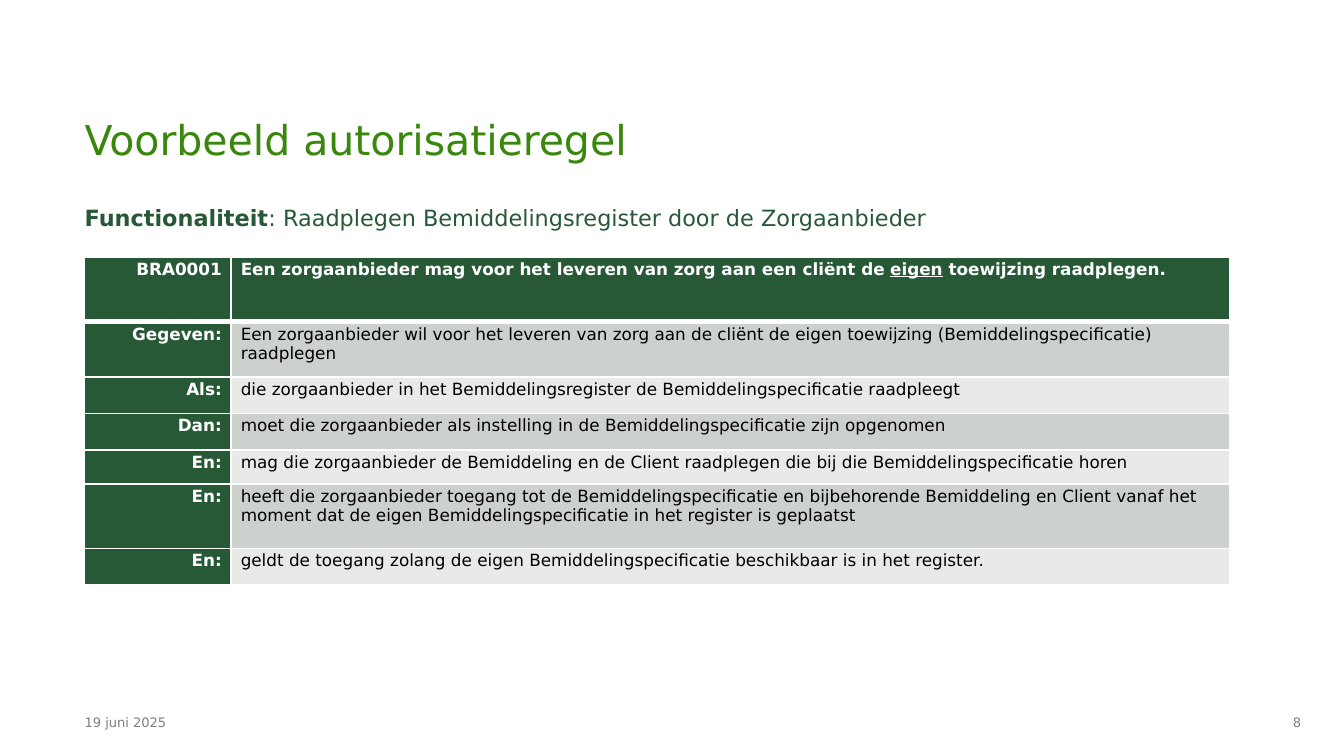
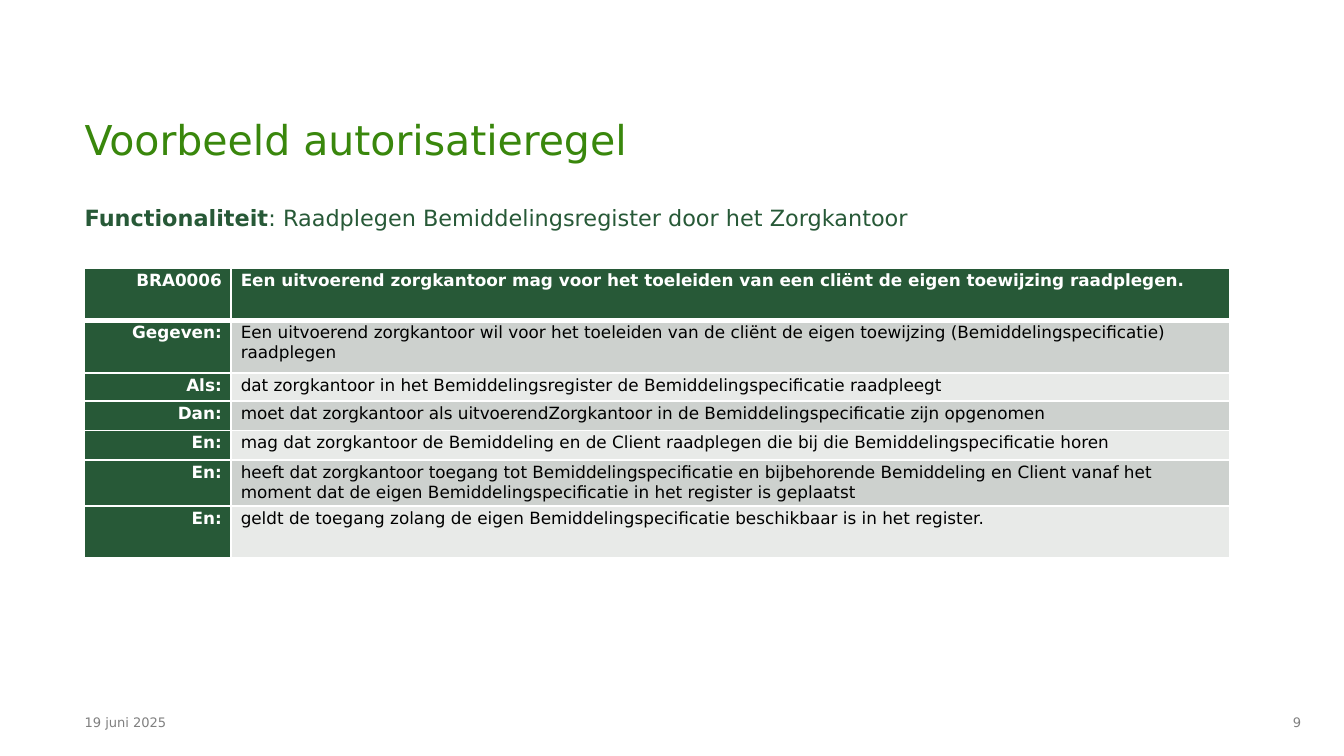
"""Builds two slides that each show an example authorisation rule in a table."""
from lxml.etree import SubElement
from pptx import Presentation
from pptx.dml.color import RGBColor
from pptx.enum.text import MSO_ANCHOR, PP_ALIGN
from pptx.oxml.ns import qn
from pptx.util import Cm, Pt

FONT = "DejaVu Sans"
TITLE_GREEN = RGBColor(0x39, 0x87, 0x0C)
DARK_GREEN = RGBColor(0x27, 0x59, 0x37)
GRAY = RGBColor(0x80, 0x80, 0x80)
BAND_DARK = RGBColor(0xCD, 0xD1, 0xCE)
BAND_LIGHT = RGBColor(0xE8, 0xEA, 0xE8)
WHITE = RGBColor(0xFF, 0xFF, 0xFF)
BLACK = RGBColor(0, 0, 0)

LEFT = 1.6
COL_WIDTHS = (2.77, 18.87)
LABELS = ("Gegeven:", "Als:", "Dan:", "En:", "En:", "En:")

RULES = [
    {
        "number": 8,
        "who": "de Zorgaanbieder",
        "code": "BRA0001",
        "top": 4.86,
        "heights": (1.22, 1.04, 0.69, 0.69, 0.64, 1.22, 0.69),
        "texts": (
            "Een zorgaanbieder mag voor het leveren van zorg aan een cliënt de _eigen_ toewijzing raadplegen.",
            "Een zorgaanbieder wil voor het leveren van zorg aan de cliënt de eigen toewijzing "
            "(Bemiddelingspecificatie) raadplegen",
            "die zorgaanbieder in het Bemiddelingsregister de Bemiddelingspecificatie raadpleegt",
            "moet die zorgaanbieder als instelling in de Bemiddelingspecificatie zijn opgenomen",
            "mag die zorgaanbieder de Bemiddeling en de Client raadplegen die bij die "
            "Bemiddelingspecificatie horen",
            "heeft die zorgaanbieder toegang tot de Bemiddelingspecificatie en bijbehorende Bemiddeling "
            "en Client vanaf het moment dat de eigen Bemiddelingspecificatie in het register is geplaatst",
            "geldt de toegang zolang de eigen Bemiddelingspecificatie beschikbaar is in het register.",
        ),
    },
    {
        "number": 9,
        "who": "het Zorgkantoor",
        "code": "BRA0006",
        "top": 5.06,
        "heights": (0.99, 0.99, 0.53, 0.56, 0.56, 0.56, 0.99),
        "texts": (
            "Een uitvoerend zorgkantoor mag voor het toeleiden van een cliënt de eigen toewijzing raadplegen.",
            "Een uitvoerend zorgkantoor wil voor het toeleiden van de cliënt de eigen toewijzing "
            "(Bemiddelingspecificatie) raadplegen",
            "dat zorgkantoor in het Bemiddelingsregister de Bemiddelingspecificatie raadpleegt",
            "moet dat zorgkantoor als uitvoerendZorgkantoor in de Bemiddelingspecificatie zijn opgenomen",
            "mag dat zorgkantoor de Bemiddeling en de Client raadplegen die bij die "
            "Bemiddelingspecificatie horen",
            "heeft dat zorgkantoor toegang tot Bemiddelingspecificatie en bijbehorende Bemiddeling "
            "en Client vanaf het moment dat de eigen Bemiddelingspecificatie in het register is geplaatst",
            "geldt de toegang zolang de eigen Bemiddelingspecificatie beschikbaar is in het register.",
        ),
    },
]


def add_text(s, box, text, size, color, align=PP_ALIGN.LEFT, anchor=MSO_ANCHOR.TOP):
    tf = s.shapes.add_textbox(*(Cm(v) for v in box)).text_frame
    tf.word_wrap = True
    tf.margin_left = tf.margin_top = tf.margin_right = tf.margin_bottom = 0
    tf.vertical_anchor = anchor
    p = tf.paragraphs[0]
    p.add_run().text = text
    p.alignment = align
    p.font.name, p.font.size, p.font.color.rgb = FONT, Pt(size), color
    return p


def set_borders(cell, widths):
    tcPr = cell._tc.get_or_add_tcPr()
    for i, (side, width) in enumerate(widths.items()):
        ln = SubElement(tcPr, qn(f"a:ln{side}"), w=str(Pt(width)))
        fill = SubElement(ln, qn("a:solidFill"))
        SubElement(fill, qn("a:srgbClr"), val=str(WHITE))
        tcPr.insert(i, ln)


prs = Presentation()
prs.slide_width, prs.slide_height = Cm(25.4), Cm(14.28)

for rule in RULES:
    s = prs.slides.add_slide(prs.slide_layouts[6])
    add_text(s, (LEFT, 1.19, 22, 1.9), "Voorbeeld autorisatieregel", 22, TITLE_GREEN,
             anchor=MSO_ANCHOR.BOTTOM)
    p = add_text(s, (LEFT, 3.81, 22, 8.79), "Functionaliteit", 12, DARK_GREEN)
    p.line_spacing, p.space_after = 1.1, Pt(6)
    p.runs[0].font.bold = True
    p.add_run().text = f": Raadplegen Bemiddelingsregister door {rule['who']}"
    add_text(s, (LEFT, 13.49, 2.8, 0.41), "19 juni 2025", 7, GRAY)
    add_text(s, (23.6, 13.49, 0.99, 0.41), str(rule["number"]), 7, GRAY, PP_ALIGN.RIGHT)

    heights = rule["heights"]
    table = s.shapes.add_table(len(heights), 2, Cm(LEFT), Cm(rule["top"]),
                               Cm(sum(COL_WIDTHS)), Cm(sum(heights))).table
    table.first_col = True
    for col, width in zip(table.columns, COL_WIDTHS):
        col.width = Cm(width)
    rows = zip((rule["code"], *LABELS), rule["texts"])
    for i, texts in enumerate(rows):
        table.rows[i].height = Cm(heights[i])
        for j, text in enumerate(texts):
            strong = i == 0 or j == 0
            cell = table.cell(i, j)
            cell.margin_left = cell.margin_right = Cm(0.18)
            cell.margin_top = cell.margin_bottom = Cm(0.05)
            cell.fill.solid()
            cell.fill.fore_color.rgb = DARK_GREEN if strong else BAND_DARK if i % 2 else BAND_LIGHT
            set_borders(cell, {"L": 1, "R": 1, "T": 3 if i == 1 else 1, "B": 3 if i == 0 else 1})
            p = cell.text_frame.paragraphs[0]
            p.alignment = PP_ALIGN.LEFT if j else PP_ALIGN.RIGHT
            p.space_before = Pt(10)
            p.font.name, p.font.size, p.font.bold = FONT, Pt(9), strong
            p.font.color.rgb = WHITE if strong else BLACK
            for k, part in enumerate(text.split("_")):
                r = p.add_run()
                r.text = part
                if k % 2:
                    r.font.underline = True

prs.save("out.pptx")
